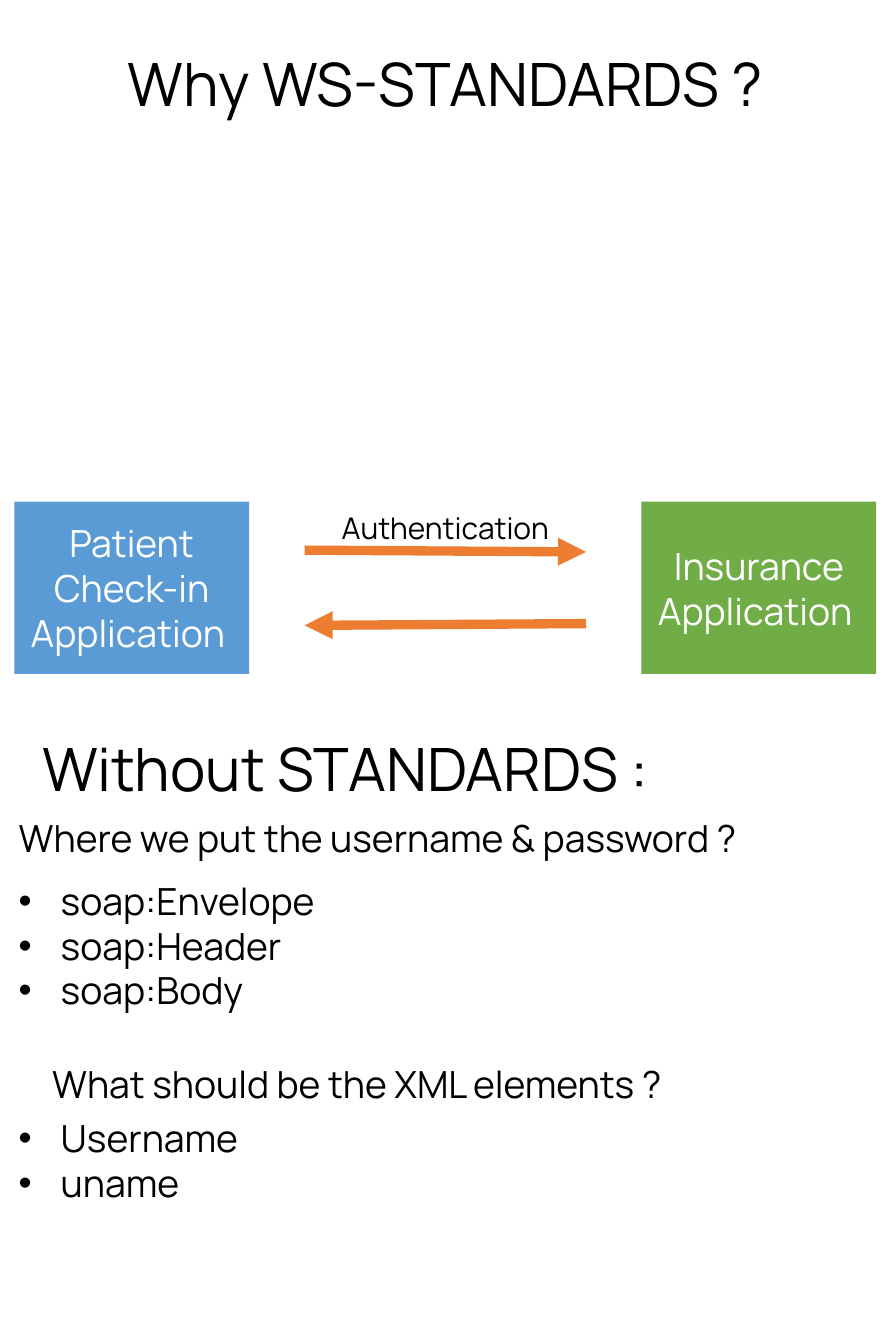
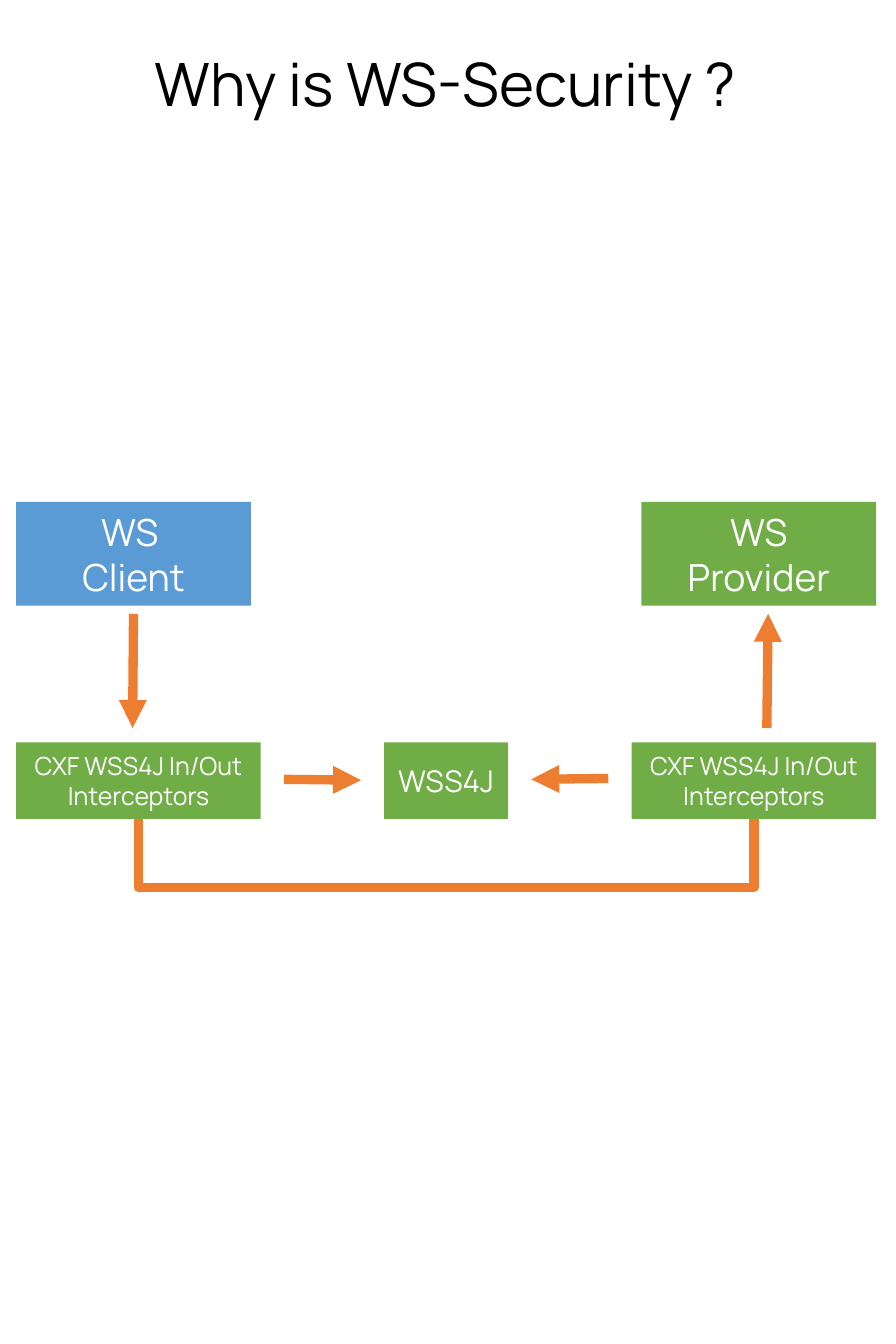
import collections

import lxml.etree
import pptx
import pptx.dml.color
import pptx.enum.shapes
import pptx.enum.text
import pptx.oxml.ns
import pptx.util

Pt = pptx.util.Pt
qn = pptx.oxml.ns.qn
ALIGN = pptx.enum.text.PP_ALIGN
CONNECTOR = pptx.enum.shapes.MSO_CONNECTOR

Box = collections.namedtuple("Box", "left top width height")

COLOURS = {"client": "5B9BD5", "provider": "70AD47", "arrow": "ED7D31",
           "light": "FFFFFF", "dark": "000000"}
FONT = "Manrope"
TITLE_SIZE, BODY_SIZE, LABEL_SIZE, SMALL_SIZE = 96, 60, 48, 40
ARROW_WEIGHT = 15
BULLET_INDENT = 67.5
APP_WIDTH = 377.3
TITLE_BOX = Box(23, 72, 1385.3, 123.8)


def colour(name):
    """Return the named palette colour."""
    return pptx.dml.color.RGBColor.from_string(COLOURS[name])


def points(box):
    """Return the box as four lengths."""
    return [Pt(value) for value in box]


def write(shape, text, size, ink, align):
    """Put text in a shape and format every run."""
    shape.text_frame.text = text
    for para in shape.text_frame.paragraphs:
        para.alignment = align
        for span in para.runs:
            span.font.name = FONT
            span.font.size = Pt(size)
            span.font.color.rgb = colour(ink)


def add_label(page, box, text, size, align=ALIGN.CENTER, wrap=True):
    """Add a text box that grows with its text."""
    label = page.shapes.add_textbox(*points(box))
    write(label, text, size, "dark", align)
    label.text_frame.word_wrap = wrap
    label.text_frame.auto_size = pptx.enum.text.MSO_AUTO_SIZE.SHAPE_TO_FIT_TEXT
    return label


def add_bullets(page, box, items):
    """Add a bulleted list."""
    label = add_label(page, box, "\n".join(items), BODY_SIZE, ALIGN.LEFT, False)
    for para in label.text_frame.paragraphs:
        props = para._p.get_or_add_pPr()
        props.set("marL", str(Pt(BULLET_INDENT)))
        props.set("indent", str(-Pt(BULLET_INDENT)))
        lxml.etree.SubElement(props, qn("a:buFont")).set("typeface", "Arial")
        lxml.etree.SubElement(props, qn("a:buChar")).set("char", "•")


def add_block(page, box, text, fill, size=BODY_SIZE):
    """Add a filled rectangle with centred text."""
    block = page.shapes.add_shape(
        pptx.enum.shapes.MSO_SHAPE.RECTANGLE, *points(box))
    block.shadow.inherit = False
    block.fill.solid()
    block.fill.fore_color.rgb = colour(fill)
    block.line.fill.background()
    block.text_frame.word_wrap = True
    block.text_frame.vertical_anchor = pptx.enum.text.MSO_ANCHOR.MIDDLE
    write(block, text, size, "light", ALIGN.CENTER)
    return block


def add_line(shapes, kind, start, end):
    """Add a thick connector without shadow."""
    line = shapes.add_connector(kind, *points(start + end))
    line.line.width = Pt(ARROW_WEIGHT)
    line.line.color.rgb = colour("arrow")
    lxml.etree.SubElement(line.element.spPr, qn("a:effectLst"))
    return line


def add_arrow(shapes, start, end):
    """Add a straight arrow with its head at the end."""
    arrow = add_line(shapes, CONNECTOR.STRAIGHT, start, end)
    outline = arrow.line._get_or_add_ln()
    lxml.etree.SubElement(outline, qn("a:tailEnd")).set("type", "triangle")


def add_loop(page, first, second, drop):
    """Join the bottoms of two blocks by a line that dips below them."""
    loop = add_line(page.shapes, CONNECTOR.ELBOW, (0, 0), (100, 100))
    loop.begin_connect(first, 2)
    loop.end_connect(second, 2)
    start, end, level = loop.begin_x, loop.end_x, loop.begin_y
    span = end - start
    depth = Pt(1)
    loop.left = (start + end - depth) // 2
    loop.top = level + (depth - span) // 2
    loop.width, loop.height = depth, span
    frame = loop.element.spPr.find(qn("a:xfrm"))
    frame.attrib.pop("flipV", None)
    frame.set("rot", "16200000")
    frame.set("flipH", "1")
    geometry = loop.element.spPr.find(qn("a:prstGeom"))
    guides = geometry.find(qn("a:avLst"))
    if guides is None:
        guides = lxml.etree.SubElement(geometry, qn("a:avLst"))
    guide = lxml.etree.SubElement(guides, qn("a:gd"))
    guide.set("name", "adj1")
    guide.set("fmla", f"val {round(drop * 100000)}")


def draw_exchange(page, area):
    """Draw the two applications and the calls between them."""
    left, top, width, height = area
    add_block(page, Box(left, top, APP_WIDTH, height),
              "Patient Check-in\nApplication ", "client")
    calls = page.shapes.add_group_shape().shapes
    near, far = left + 466.6, left + 918.8
    add_arrow(calls, (near, top + 77.8), (far, top + 80.6))
    add_arrow(calls, (far, top + 195.8), (near, top + 198.7))
    add_block(page, Box(left + width - APP_WIDTH, top, APP_WIDTH, height),
              "Insurance\nApplication ", "provider")
    add_label(page, Box(left + 306.8, top + 8.6, 771.8, 65.5),
              "Authentication", LABEL_SIZE)


def draw_questions(page, area):
    """Write the questions left open without standards."""
    left, top, width, height = area
    add_label(page, Box(left - 160.5, top, width, 123.8),
              "Without STANDARDS :", TITLE_SIZE)
    add_label(page, Box(left, top + 133.2, 1255, 80),
              "Where we put the username & password ?", BODY_SIZE,
              ALIGN.LEFT, False)
    add_bullets(page, Box(left, top + 234.7, 517, 225.4),
                ["soap:Envelope", "soap:Header", "soap:Body"])
    add_label(page, Box(left, top + 528.5, 1100.9, 80),
              "What should be the XML elements ?", BODY_SIZE, wrap=False)
    add_bullets(page, Box(left, top + 616.3, 385.2, height - 616.3),
                ["Username", "uname"])


def draw_security(page, area):
    """Draw client, provider and the interceptors between them."""
    left, top, width, height = area
    right = left + width
    app_height, step_height = 167, 123
    step_width, core_width = 393.1, 199.4
    step_top = top + height - step_height
    add_block(page, Box(left, top, APP_WIDTH, app_height),
              "WS \nClient", "client")
    add_block(page, Box(right - APP_WIDTH, top, APP_WIDTH, app_height),
              "WS\nProvider", "provider")
    steps = [
        add_block(page, Box(x, step_top, step_width, step_height),
                  "CXF WSS4J In/Out\nInterceptors", "provider", SMALL_SIZE)
        for x in (left, right - step_width)]
    add_block(page, Box(left + (width - core_width) / 2, step_top,
                        core_width, step_height),
              "WSS4J", "provider", LABEL_SIZE)
    across = step_top + 59.5
    upper, lower = top + 180, top + 363.6
    for start, end in (
            ((left + 430.5, across), (left + 554.3, across + 1.4)),
            ((right - 430.5, across - 1.4), (right - 554.3, across)),
            ((left + 188.6, upper), (left + 187.1, lower)),
            ((right - 175.7, lower), (right - 173.5, upper))):
        add_arrow(page.shapes, start, end)
    add_loop(page, *steps, 111.6)


def main():
    """Build and save the two slides."""
    deck = pptx.Presentation()
    deck.slide_width, deck.slide_height = Pt(1440), Pt(2160)
    slides = (
        ("Why WS-STANDARDS ?",
         ((draw_exchange, Box(23, 806.4, 1385.3, 276.5)),
          (draw_questions, Box(23, 1172.9, 1385.3, 769)))),
        ("Why is WS-Security ?",
         ((draw_security, Box(26, 806.4, 1382.1, 509.6)),)))
    for title, regions in slides:
        page = deck.slides.add_slide(deck.slide_layouts[6])
        add_label(page, TITLE_BOX, title, TITLE_SIZE)
        for draw, area in regions:
            draw(page, area)
    deck.save("out.pptx")


if __name__ == "__main__":
    main()
